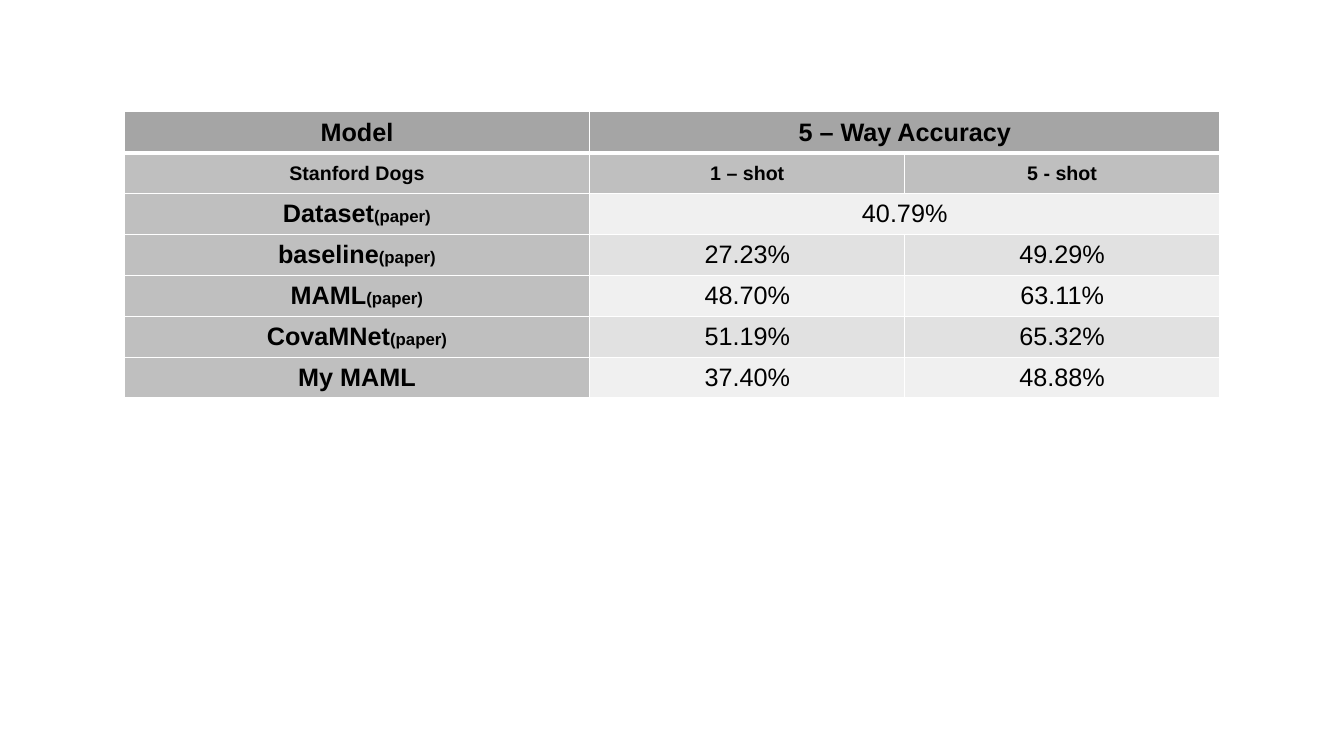
from dataclasses import dataclass

from lxml.etree import SubElement
from pptx import Presentation
from pptx.dml.color import RGBColor
from pptx.enum.text import MSO_ANCHOR, PP_ALIGN
from pptx.oxml.ns import qn
from pptx.table import _Cell
from pptx.util import Emu, Inches, Pt

COLORS = {
    "header": "A5A5A5",
    "label": "BFBFBF",
    "light": "F0F0F0",
    "dark": "E1E1E1",
    "border": "FFFFFF",
    "text": "000000",
}
FONT = "Arial"

# Shares of the slide, in percent of its width or height
LEFT, TOP = 9.23, 14.8
COLUMN_WIDTHS = (34.66, 23.43, 23.43)
ROW_HEIGHT = 5.41


@dataclass(frozen=True)
class ResultRow:
    label: str
    values: tuple[str, ...]
    note: str = ""
    size: int = 18
    bold_values: bool = False


ROWS = (
    ResultRow("Model", ("5 – Way Accuracy",), bold_values=True),
    ResultRow("Stanford Dogs", ("1 – shot", "5 - shot"), size=14, bold_values=True),
    ResultRow("Dataset", ("40.79%",), "(paper)"),
    ResultRow("baseline", ("27.23%", "49.29%"), "(paper)"),
    ResultRow("MAML", ("48.70%", "63.11%"), "(paper)"),
    ResultRow("CovaMNet", ("51.19%", "65.32%"), "(paper)"),
    ResultRow("My MAML", ("37.40%", "48.88%")),
)


def share(length: int, percent: float) -> Emu:
    return Emu(round(length * percent / 100))


def set_borders(cell: _Cell, row: int) -> None:
    """Draw white cell edges, with a heavier one under the header row."""
    heavy = {(0, "lnB"), (1, "lnT")}
    for edge in ("lnL", "lnR", "lnT", "lnB"):
        width = Pt(3 if (row, edge) in heavy else 1)
        ln = SubElement(cell._tc.get_or_add_tcPr(), qn(f"a:{edge}"), w=str(width))
        fill = SubElement(ln, qn("a:solidFill"))
        SubElement(fill, qn("a:srgbClr"), val=COLORS["border"])


def fill_color(row: int, column: int) -> str:
    if row == 0:
        return COLORS["header"]
    if row == 1 or column == 0:
        return COLORS["label"]
    return COLORS["dark" if row % 2 else "light"]


def write(cell: _Cell, text: str, size: int, bold: bool, note: str = "") -> None:
    p = cell.text_frame.paragraphs[0]
    p.text = text
    p.alignment = PP_ALIGN.CENTER
    if note:
        p.add_run().text = note
    for r, points in zip(p.runs, (size, 12)):
        r.font.name = FONT
        r.font.size = Pt(points)
        r.font.bold = bold
        r.font.color.rgb = RGBColor.from_string(COLORS["text"])


def main() -> None:
    prs = Presentation()
    prs.slide_width, prs.slide_height = Inches(13.33), Inches(7.5)
    slide = prs.slides.add_slide(prs.slide_layouts[6])

    table = slide.shapes.add_table(
        len(ROWS),
        len(COLUMN_WIDTHS),
        share(prs.slide_width, LEFT),
        share(prs.slide_height, TOP),
        share(prs.slide_width, sum(COLUMN_WIDTHS)),
        share(prs.slide_height, ROW_HEIGHT * len(ROWS)),
    ).table
    for column, width in zip(table.columns, COLUMN_WIDTHS):
        column.width = share(prs.slide_width, width)

    for i, row in enumerate(ROWS):
        table.rows[i].height = share(prs.slide_height, ROW_HEIGHT)
        for j in range(len(COLUMN_WIDTHS)):
            cell = table.cell(i, j)
            set_borders(cell, i)
            cell.fill.solid()
            cell.fill.fore_color.rgb = RGBColor.from_string(fill_color(i, j))
            cell.vertical_anchor = MSO_ANCHOR.MIDDLE
        write(table.cell(i, 0), row.label, row.size, True, row.note)
        for j, value in enumerate(row.values, start=1):
            write(table.cell(i, j), value, row.size, row.bold_values)
        if len(row.values) == 1:
            table.cell(i, 1).merge(table.cell(i, 2))

    prs.save("out.pptx")


if __name__ == "__main__":
    main()
